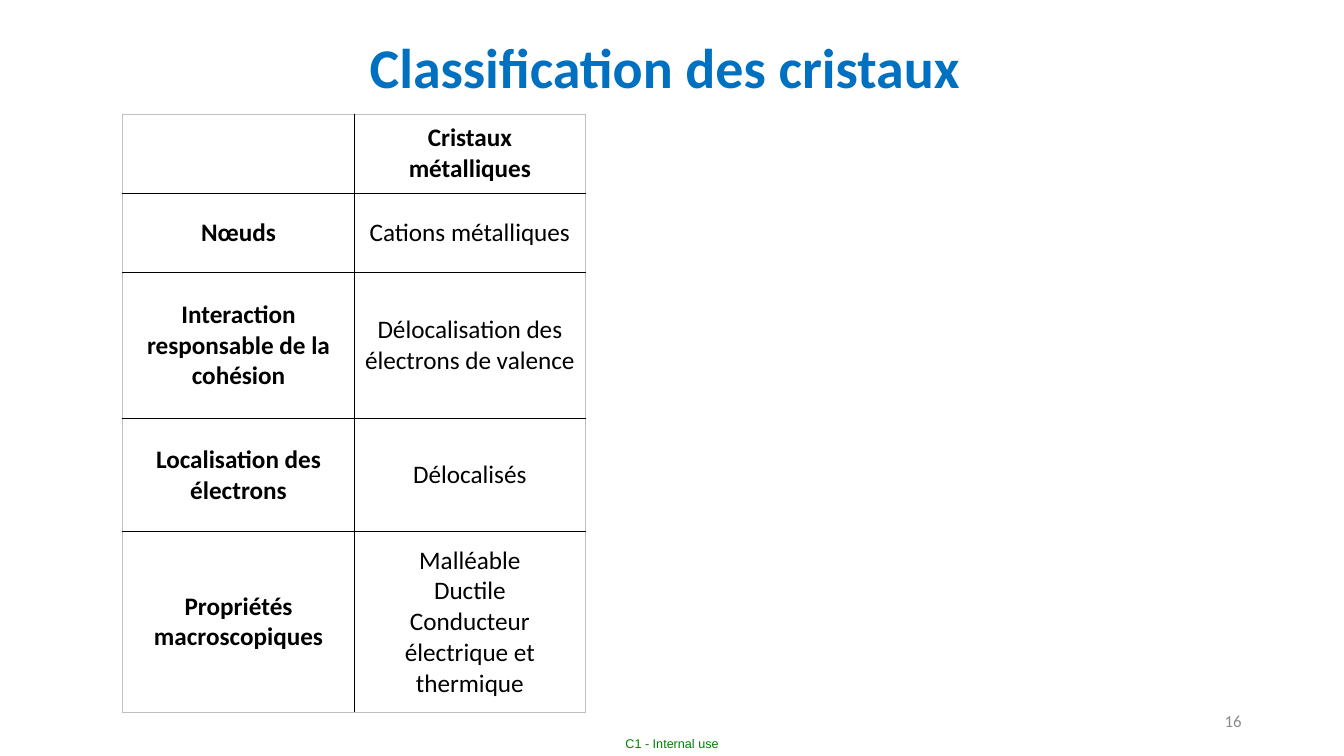
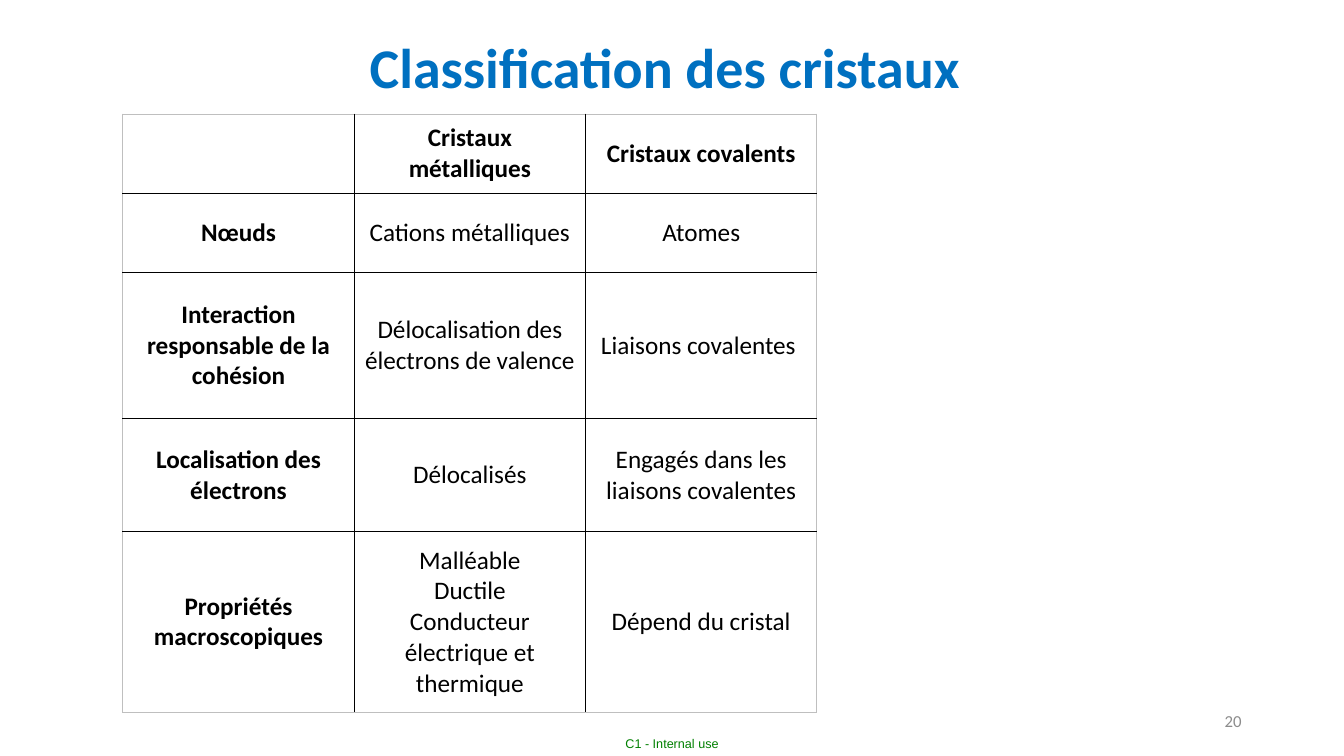
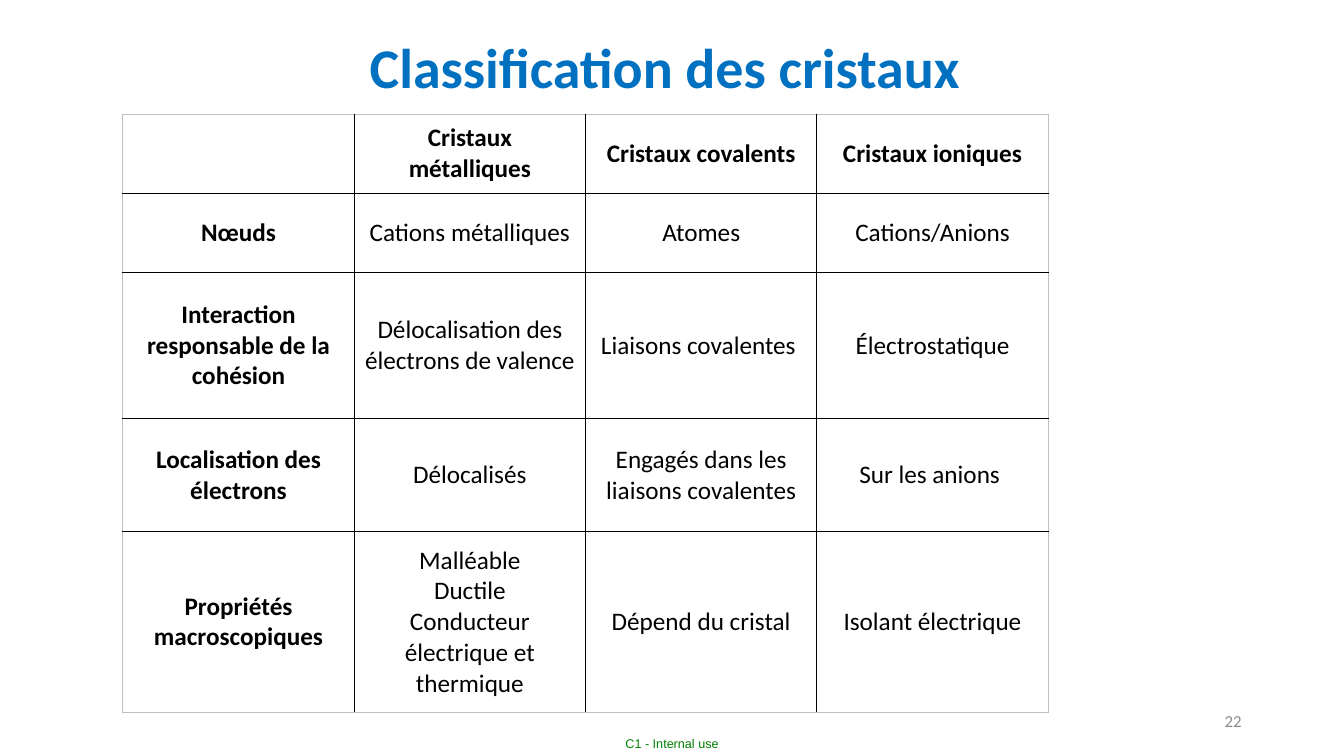
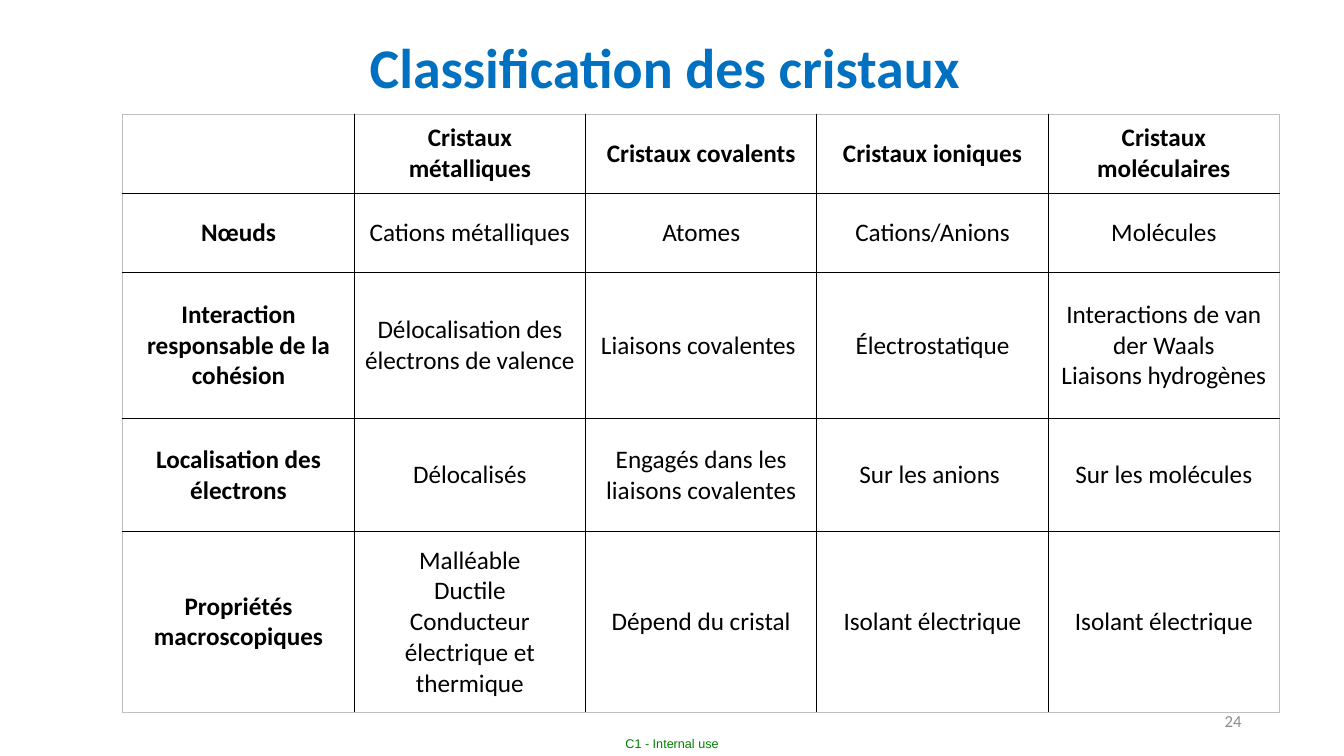
from lxml import etree
from pptx import Presentation
from pptx import util as u
from pptx.dml.color import RGBColor
from pptx.enum import text
from pptx.oxml import ns

Pt = u.Pt
COLORS = {"title": "0070C0", "text": "000000", "number": "8C8C8C",
          "footer": "008000", "grid": "000000", "frame": "BFBFBF"}
BODY, SMALL = "Calibri", "Arial"
CENTER, RIGHT = text.PP_ALIGN.CENTER, text.PP_ALIGN.RIGHT
MIDDLE, TOP = text.MSO_ANCHOR.MIDDLE, text.MSO_ANCHOR.TOP

# Boxes: left, top, width, height
TITLE_BOX = (257, 19.4, 441.4, 55.7)
NUMBER_BOX = (678, 500.5, 216, 28.75)
FOOTER_BOX = (435, 521.5, 90, 18.5)
TABLE_ORIGIN = (87.8, 81.5)
COL_WIDTH = 165.25
ROW_HEIGHTS = (56.5, 56.5, 104.7, 80.4, 129.3)

# Table content by column; a newline starts a new paragraph
HEADINGS = ("", "Nœuds", "Interaction responsable de la cohésion",
            "Localisation des électrons", "Propriétés macroscopiques")
CRYSTALS = (
    ("Cristaux métalliques", "Cations métalliques",
     "Délocalisation des électrons de valence", "Délocalisés",
     "Malléable\nDuctile\nConducteur électrique et thermique"),
    ("Cristaux covalents", "Atomes", "Liaisons covalentes ",
     "Engagés dans les liaisons covalentes", "Dépend du cristal"),
    ("Cristaux ioniques", "Cations/Anions", "Électrostatique",
     "Sur les anions ", "Isolant électrique"),
    ("Cristaux moléculaires", "Molécules",
     "Interactions de van der Waals\nLiaisons hydrogènes",
     "Sur les molécules", "Isolant électrique"),
)
# Page number and count of crystal types shown
PAGES = ((16, 1), (20, 2), (22, 3), (24, 4))


def write(tf, content, size=18, color="text", font=BODY, bold=False, align=None):
    for i, line in enumerate(content.split("\n")):
        p = tf.paragraphs[0] if i == 0 else tf.add_paragraph()
        p.alignment = align
        p.font.size = Pt(size)
        if line:
            r = p.add_run()
            r.text = line
            r.font.name, r.font.size, r.font.bold = font, Pt(size), bold
            r.font.color.rgb = RGBColor.from_string(COLORS[color])


def add_text(s, box, content, anchor=MIDDLE, wrap=True, inset=None, **fmt):
    tf = s.shapes.add_textbox(*map(Pt, box)).text_frame
    tf.word_wrap, tf.vertical_anchor = wrap, anchor
    if inset is not None:
        tf.margin_left = tf.margin_top = tf.margin_right = tf.margin_bottom = Pt(inset)
    write(tf, content, **fmt)


def set_borders(cell, outer):
    """Draw grey lines on the outer sides and black lines on the others."""
    props = cell._tc.get_or_add_tcPr()
    for i, (side, is_outer) in enumerate(outer.items()):
        width, color = (0.75, "frame") if is_outer else (1, "grid")
        ln = etree.Element(ns.qn("a:" + side), w=str(Pt(width)))
        fill = etree.SubElement(ln, ns.qn("a:solidFill"))
        etree.SubElement(fill, ns.qn("a:srgbClr"), val=COLORS[color])
        props.insert(i, ln)


def add_crystal_table(s, origin, columns):
    rows, cols = len(ROW_HEIGHTS), len(columns)
    box = (*origin, COL_WIDTH * cols, sum(ROW_HEIGHTS))
    table = s.shapes.add_table(rows, cols, *map(Pt, box)).table
    table.first_row = table.horz_banding = False
    for row, height in zip(table.rows, ROW_HEIGHTS):
        row.height = Pt(height)
    for c, column in enumerate(columns):
        table.columns[c].width = Pt(COL_WIDTH)
        for r, content in enumerate(column):
            cell = table.cell(r, c)
            cell.fill.background()
            cell.vertical_anchor = MIDDLE
            write(cell.text_frame, content, bold=r == 0 or c == 0, align=CENTER)
            set_borders(cell, {"lnL": c == 0, "lnR": c == cols - 1,
                               "lnT": r == 0, "lnB": r == rows - 1})


def add_frame(s, number):
    # Footer, page number and title
    add_text(s, FOOTER_BOX, " C1 - Internal use ", inset=0, size=9,
             color="footer", font=SMALL, align=CENTER)
    add_text(s, NUMBER_BOX, str(number), size=12, color="number", align=RIGHT)
    add_text(s, TITLE_BOX, "Classification des cristaux", anchor=TOP,
             wrap=False, size=40, color="title", bold=True)


def main():
    prs = Presentation()
    prs.slide_width, prs.slide_height = Pt(960), Pt(540)
    for number, shown in PAGES:
        s = prs.slides.add_slide(prs.slide_layouts[6])
        add_frame(s, number)
        add_crystal_table(s, TABLE_ORIGIN, (HEADINGS, *CRYSTALS[:shown]))
    prs.save("out.pptx")


if __name__ == "__main__":
    main()
